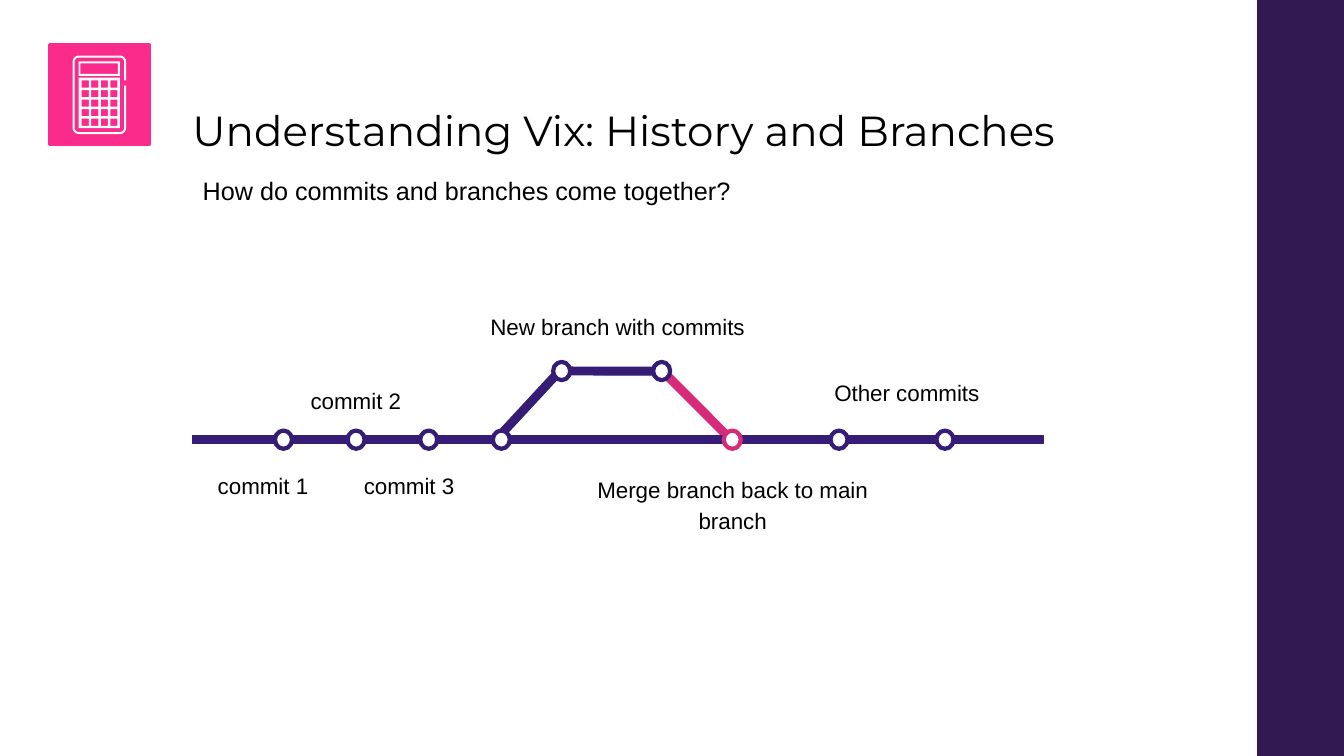
import math
from dataclasses import dataclass

import pptx
import pptx.dml.color
import pptx.enum.shapes
import pptx.enum.text
import pptx.util

Cm = pptx.util.Cm
Pt = pptx.util.Pt
SHAPE = pptx.enum.shapes.MSO_SHAPE
ALIGN = pptx.enum.text.PP_ALIGN
ANCHOR = pptx.enum.text.MSO_ANCHOR
AUTO = pptx.enum.text.MSO_AUTO_SIZE


@dataclass(frozen=True)
class Theme:
    white: str = "FFFFFF"
    ink: str = "000000"
    badge: str = "FA2B8A"
    side: str = "321952"
    branch: str = "351C75"
    merge: str = "D52B79"
    title_font: str = "Montserrat"
    body_font: str = "Arial"
    title_size: int = 30
    subtitle_size: int = 18
    label_size: int = 16
    thick: float = 3
    thin: float = 0.75


def rgb(value):
    return pptx.dml.color.RGBColor.from_string(value)


def apply(target, values):
    for name, value in values.items():
        setattr(target, name, value)


def margins(size):
    return {f"margin_{side}": Cm(size) for side in ("left", "top", "right", "bottom")}


def box(left, top, right, bottom):
    return [(left, top), (right, top), (right, bottom), (left, bottom)]


def corner(x, y, radius, start):
    angles = [math.radians(start + step * 15) for step in range(7)]
    return [(x + radius * math.cos(a), y - radius * math.sin(a)) for a in angles]


def open_frame(left, top, right, bottom, radius, gap_top, gap_bottom):
    l, r = left + radius, right - radius
    t, b = top + radius, bottom - radius
    points = [(right, gap_top)]
    for x, y, start in [(r, t, 0), (l, t, 90), (l, b, 180), (r, b, 270)]:
        points += corner(x, y, radius, start)
    return points + [(right, gap_bottom)]


class Deck:
    def __init__(self, prs, theme):
        self.theme = theme
        self.s = prs.slides.add_slide(prs.slide_layouts[6])

    def paint(self, sp, fill, line=None, width=0):
        sp.shadow.inherit = False
        sp.fill.solid()
        sp.fill.fore_color.rgb = rgb(fill)
        if line:
            sp.line.color.rgb = rgb(line)
            sp.line.width = Pt(width)
        else:
            sp.line.fill.background()

    def shape(self, kind, at, fill, line, width):
        sp = self.s.shapes.add_shape(kind, *map(Cm, at))
        self.paint(sp, fill, line, width)
        return sp

    def bar(self, left, top, length, color, angle=0):
        at = (left, top, length, 0.2)
        sp = self.shape(SHAPE.ROUNDED_RECTANGLE, at, color, color, self.theme.thin)
        sp.adjustments[0] = 0
        sp.rotation = angle

    def commit(self, left, top, color):
        at = (left, top, 0.43, 0.46)
        self.shape(SHAPE.FLOWCHART_CONNECTOR, at, self.theme.white, color, self.theme.thick)

    def outline(self, contours):
        paths = [[(Cm(x), Cm(y)) for x, y in points] for points in contours]
        builder = self.s.shapes.build_freeform(*paths[0][0])
        builder.add_line_segments(paths[0][1:])
        for points in paths[1:]:
            builder.move_to(*points[0])
            builder.add_line_segments(points[1:])
        self.paint(builder.convert_to_shape(), self.theme.white)

    def text(self, text, at, font, size, frame, paragraph):
        tf = self.s.shapes.add_textbox(*map(Cm, at)).text_frame
        apply(tf, {"word_wrap": True, **frame})
        p = tf.paragraphs[0]
        apply(p, paragraph)
        r = p.add_run()
        r.text = text
        apply(r.font, {"name": font, "size": Pt(size)})
        r.font.color.rgb = rgb(self.theme.ink)

    def title(self, text, at):
        frame = {**margins(0.33), "vertical_anchor": ANCHOR.TOP}
        self.text(text, at, self.theme.title_font, self.theme.title_size, frame, {})

    def body(self, text, at, size, align):
        frame = {**margins(0.26), "auto_size": AUTO.SHAPE_TO_FIT_TEXT}
        paragraph = {"alignment": align, "line_spacing": 1.15, "space_after": Pt(21)}
        self.text(text, at, self.theme.body_font, size, frame, paragraph)

    def calculator(self):
        outer = open_frame(1.83, 1.4, 3.18, 3.38, 0.16, 2.03, 2.16)
        inner = open_frame(1.88, 1.45, 3.13, 3.33, 0.11, 2.03, 2.16)
        self.outline([outer + inner[::-1]])
        self.outline([box(1.98, 1.55, 3.02, 1.91), box(2.03, 1.6, 2.97, 1.86)[::-1]])
        keys = [(2.06 + 0.24 * col, 2.03 + 0.24 * row) for row in range(5) for col in range(4)]
        holes = [box(x, y, x + 0.18, y + 0.18)[::-1] for x, y in keys]
        self.outline([box(1.98, 1.96, 3.02, 3.23)] + holes)


def main():
    prs = pptx.Presentation()
    apply(prs, {"slide_width": Cm(33.87), "slide_height": Cm(19.05)})
    theme = Theme()
    deck = Deck(prs, theme)

    panels = [((1.27, 1.14, 2.49, 2.49), theme.badge), ((31.72, 0, 2.15, 19.05), theme.side)]
    for at, color in panels:
        deck.shape(SHAPE.RECTANGLE, at, color, color, theme.thick)
    deck.calculator()

    deck.title("Understanding Vix: History and Branches", (4.52, 2.31, 27.2, 2.11))
    deck.body("How do commits and branches come together?", (4.85, 4.04, 17.35, 1.27),
              theme.subtitle_size, ALIGN.LEFT)

    deck.bar(16.23, 10.08, 2.59, theme.merge, 45.1)
    deck.bar(14.3, 9.25, 2.59, theme.branch, 0.1)
    deck.bar(12.04, 10.08, 2.59, theme.branch, 312.8)
    deck.bar(4.85, 10.97, 21.44, theme.branch)

    main_row, branch_row = 10.85, 9.12
    commits = [(6.93 + 1.83 * i, main_row, theme.branch) for i in range(4)]
    commits += [(x, branch_row, theme.branch) for x in (13.94, 16.46)]
    commits += [(18.24, main_row, theme.merge)]
    commits += [(x, main_row, theme.branch) for x in (20.93, 23.6)]
    for commit in commits:
        deck.commit(*commit)

    labels = [
        ("commit 1", (4.52, 11.53, 4.22, 1.19)),
        ("commit 2", (6.86, 9.4, 4.22, 1.19)),
        ("commit 3", (8.2, 11.53, 4.22, 1.19)),
        ("New branch with commits", (11.4, 7.54, 8.33, 1.19)),
        ("Merge branch back to main branch", (14.3, 11.63, 8.33, 1.98)),
        ("Other commits", (18.69, 9.19, 8.33, 1.19)),
    ]
    for text, at in labels:
        deck.body(text, at, theme.label_size, ALIGN.CENTER)

    prs.save("out.pptx")


if __name__ == "__main__":
    main()
